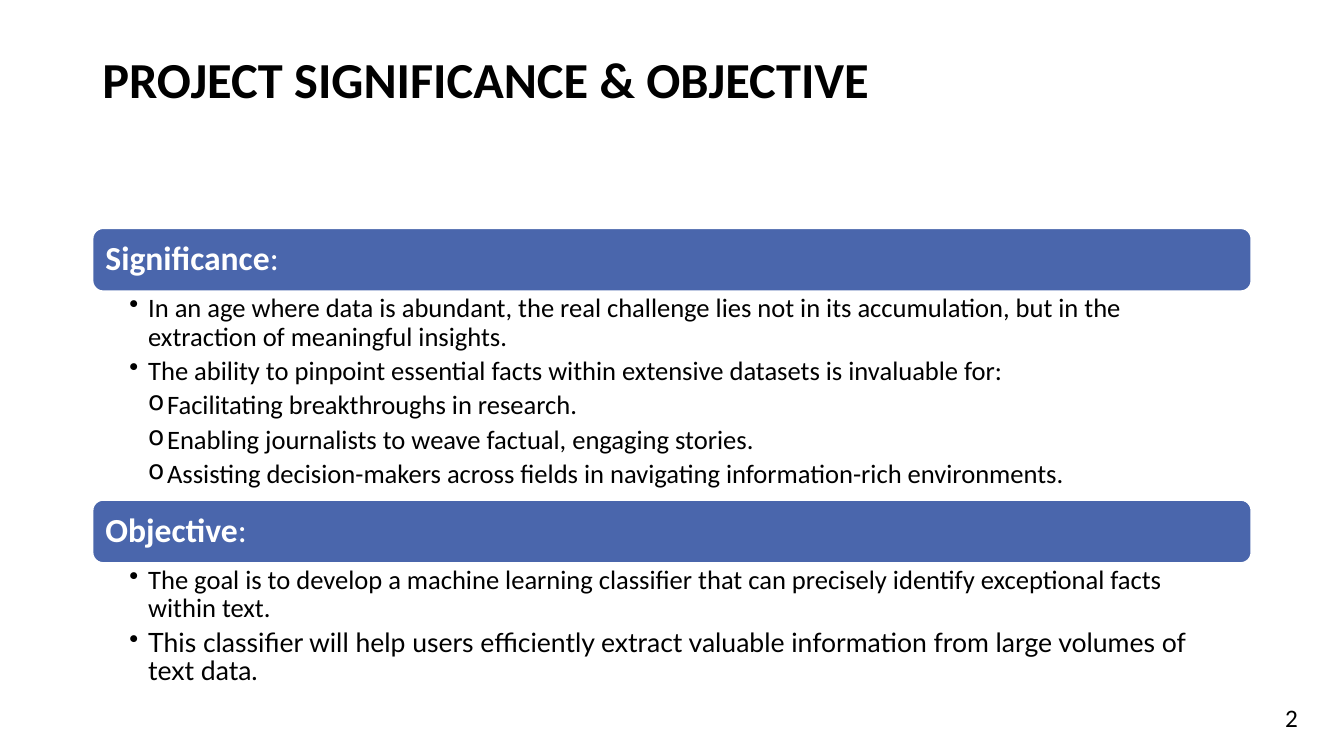
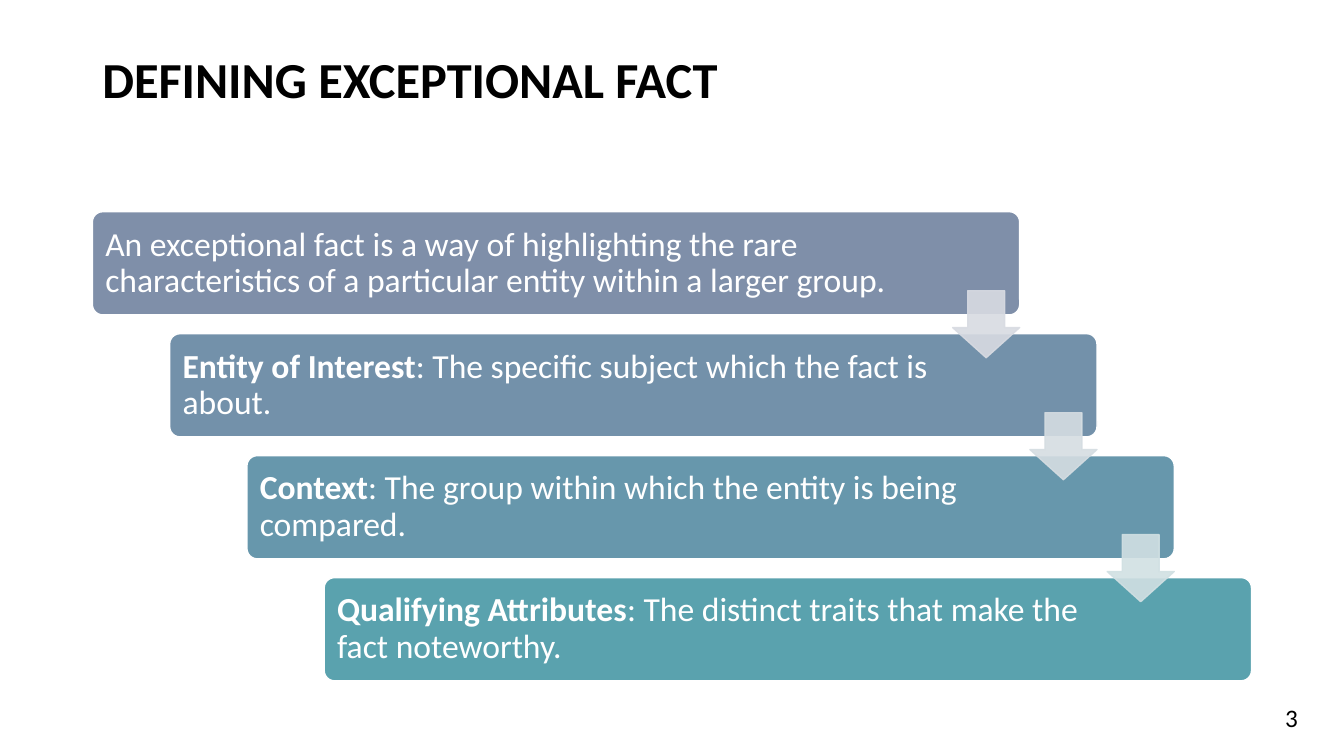
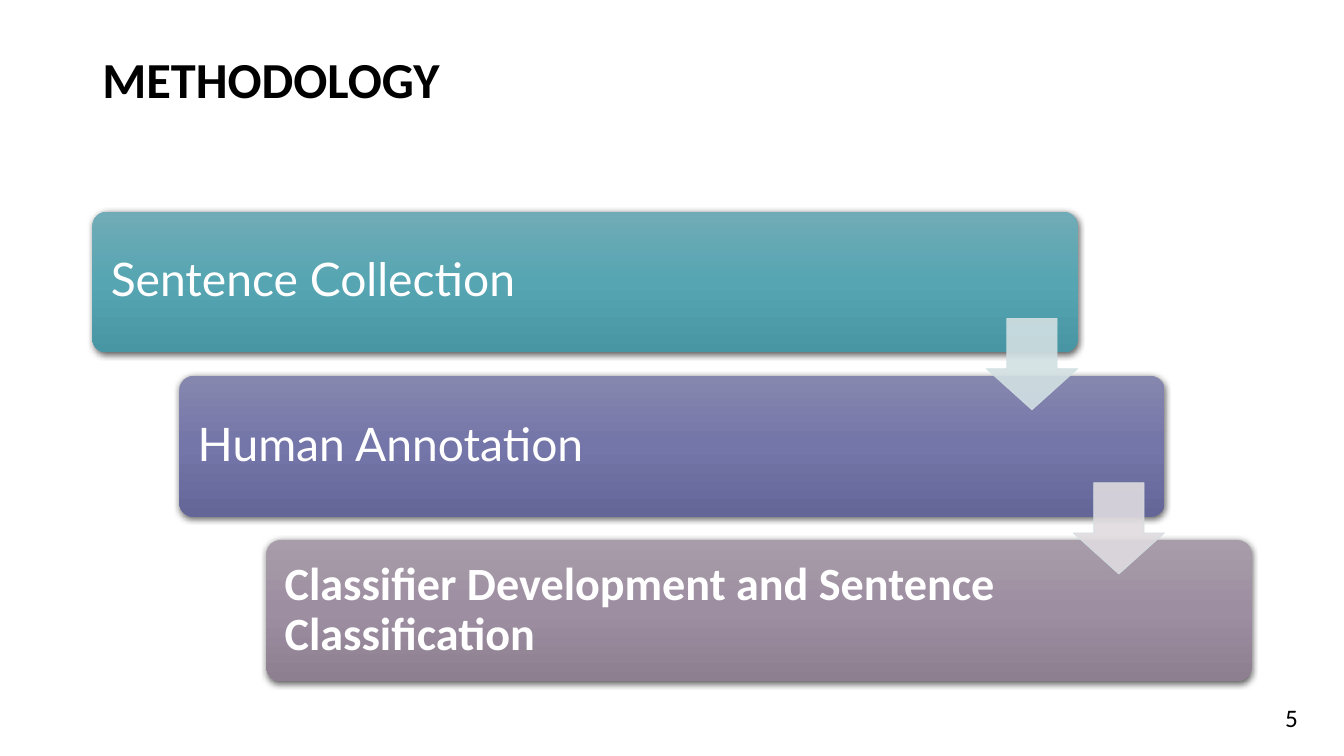
from lxml.etree import SubElement
from pptx import Presentation
from pptx.dml.color import RGBColor
from pptx.enum.shapes import MSO_SHAPE
from pptx.enum.text import MSO_ANCHOR, PP_ALIGN
from pptx.oxml.ns import qn
from pptx.util import Inches, Pt

# Grid: 160 columns by 90 rows of square cells
COLS, ROWS = 160, 90
CELL = Inches(7.5) // ROWS
LEFT, WIDTH = 11, 138

# Palette
BLACK = RGBColor(0x00, 0x00, 0x00)
WHITE = RGBColor(0xFF, 0xFF, 0xFF)
BLUE = RGBColor(0x4A, 0x66, 0xAC)
SLATE = RGBColor(0x7F, 0x8F, 0xA9)
STEEL = RGBColor(0x73, 0x91, 0xAA)
SEA = RGBColor(0x67, 0x97, 0xAC)
TEAL = RGBColor(0x5A, 0xA2, 0xAE)
PALE_SLATE = RGBColor(0xD8, 0xDB, 0xE2)
PALE_STEEL = RGBColor(0xD5, 0xDD, 0xE2)
PALE_SEA = RGBColor(0xD1, 0xE0, 0xE3)
PALE_TEAL = RGBColor(0xD2, 0xE0, 0xE3)
PALE_MAUVE = RGBColor(0xDF, 0xDB, 0xDF)
TEAL_FADE = (RGBColor(0x70, 0xAC, 0xB7), RGBColor(0x56, 0xA5, 0xB2), RGBColor(0x48, 0x96, 0xA3))
VIOLET_FADE = (RGBColor(0x86, 0x87, 0xAF), RGBColor(0x74, 0x75, 0xA8), RGBColor(0x64, 0x66, 0x98))
MAUVE_FADE = (RGBColor(0xA8, 0x9C, 0xAA), RGBColor(0x9D, 0x8F, 0xA1), RGBColor(0x8D, 0x7E, 0x90))

BODY, ALT = "Calibri", "Lato"


def cells(n):
    return round(n * CELL)


def child(parent, tag, **attrs):
    return SubElement(parent, qn(tag), {k: str(v) for k, v in attrs.items()})


class Deck:
    """Holds the style and the current slide."""

    def __init__(self):
        self.prs = Presentation()
        self.prs.slide_width = cells(COLS)
        self.prs.slide_height = cells(ROWS)
        self.s = None

    def slide(self, title, number):
        self.s = self.prs.slides.add_slide(self.prs.slide_layouts[6])
        tf = self.box(LEFT, 5.6, WIDTH, 8.4)
        tf.vertical_anchor = MSO_ANCHOR.MIDDLE
        self.add_runs(tf.paragraphs[0], [(title, True)], 36)
        p = self.box(LEFT + WIDTH, 83.4, 6.7, 4.8).paragraphs[0]
        p.alignment = PP_ALIGN.RIGHT
        self.add_runs(p, [(str(number), False)], 18)

    def box(self, x, y, w, h):
        sp = self.s.shapes.add_textbox(cells(x), cells(y), cells(w), cells(h))
        sp.text_frame.word_wrap = True
        return sp.text_frame

    def add_runs(self, p, runs, size, color=BLACK, font=BODY):
        p.line_spacing = 0.9
        for text, bold in runs:
            r = p.add_run()
            r.text = text
            r.font.name, r.font.size, r.font.bold = font, Pt(size), bold
            r.font.color.rgb = color

    def insets(self, tf, left, top, right, bottom):
        tf.margin_left, tf.margin_top = cells(left), cells(top)
        tf.margin_right, tf.margin_bottom = cells(right), cells(bottom)

    def shape(self, kind, x, y, w, h, adjust):
        sp = self.s.shapes.add_shape(kind, cells(x), cells(y), cells(w), cells(h))
        sp.shadow.inherit = False
        for i, value in enumerate(adjust):
            sp.adjustments[i] = value
        return sp

    def band(self, x, y, w, h, fill, runs, size=24, font=BODY,
             corner=0.1, inset=1.2, right=1.2, line=1):
        """Rounded bar with text; a tuple of colours makes a shaded, raised bar."""
        sp = self.shape(MSO_SHAPE.ROUNDED_RECTANGLE, x, y, w, h, [corner])
        # RGBColor is itself a tuple, so test for it first
        if isinstance(fill, RGBColor):
            sp.fill.solid()
            sp.fill.fore_color.rgb = fill
            sp.line.color.rgb = WHITE
            sp.line.width = Pt(line)
        else:
            self.shade(sp, fill)
            sp.line.fill.background()
            self.raise_up(sp)
        tf = sp.text_frame
        tf.word_wrap = True
        tf.vertical_anchor = MSO_ANCHOR.MIDDLE
        self.insets(tf, inset, inset, right, inset)
        tf.paragraphs[0].alignment = PP_ALIGN.LEFT
        self.add_runs(tf.paragraphs[0], runs, size, WHITE, font)

    def shade(self, sp, colors):
        sp.fill.gradient()
        sp.fill.gradient_angle = 270
        stops = sp.element.spPr.find(qn("a:gradFill")).find(qn("a:gsLst"))
        for stop in list(stops):
            stops.remove(stop)
        for i, color in enumerate(colors):
            stop = child(stops, "a:gs", pos=i * 100000 // (len(colors) - 1))
            child(stop, "a:srgbClr", val=color)

    def raise_up(self, sp):
        effects = sp.element.spPr.find(qn("a:effectLst"))
        shadow = child(effects, "a:outerShdw", blurRad=int(Pt(4.5)), dist=int(Pt(1.5)),
                       dir=5400000, algn="ctr", rotWithShape=0)
        child(child(shadow, "a:srgbClr", val=BLACK), "a:alpha", val=63000)

    def arrow(self, x, y, size, fill, edge, line):
        sp = self.shape(MSO_SHAPE.DOWN_ARROW, x, y, size, size, [0.55, 0.45])
        sp.fill.solid()
        sp.fill.fore_color.rgb = fill
        sp.line.color.rgb = edge
        sp.line.width = Pt(line)
        for color in list(sp.element.spPr.iter(qn("a:srgbClr"))):
            child(color, "a:alpha", val=90000)

    def bullets(self, y, h, items):
        tf = self.box(LEFT, y, WIDTH, h)
        self.insets(tf, 4.4, 0.36, 2.3, 0.36)
        step = cells(2.25)
        for i, (level, text, font) in enumerate(items):
            p = tf.paragraphs[0] if i == 0 else tf.add_paragraph()
            pPr = p._p.get_or_add_pPr()
            pPr.set("marL", str(step * level))
            pPr.set("indent", str(-step))
            child(pPr, "a:buChar", char="•" if level == 1 else "o")
            p.space_after = Pt(4)
            self.add_runs(p, [(text, False)], 19, font=font)

    def staircase(self, steps, arrows, w_share, h_share, rights, line, **style):
        """Bars stepping down to the right, joined by arrows in the gaps."""
        top, height = 25.2, 55.85
        w, h = WIDTH * w_share, height * h_share
        gaps = len(steps) - 1
        dx, dy = (WIDTH - w) / gaps, (height - h) / gaps
        for i, (fill, runs, font) in enumerate(steps):
            self.band(LEFT + i * dx, top + i * dy, w, h, fill, runs, font=font,
                      right=rights[min(i, 1)], line=line, **style)
        size = 0.65 * h
        for i, (fill, edge) in enumerate(arrows):
            gap_middle = top + i * dy + (h + dy) / 2
            self.arrow(LEFT + i * dx + w - size, gap_middle - size / 2,
                       size, fill, edge, line)


def main():
    deck = Deck()

    # Significance and objective
    deck.slide("PROJECT SIGNIFICANCE & OBJECTIVE", 2)
    sections = [
        ("Significance", 24.8, [
            (1, "In an age where data is abundant, the real challenge lies not in its "
                "accumulation, but in the extraction of meaningful insights.", BODY),
            (1, "The ability to pinpoint essential facts within extensive datasets is "
                "invaluable for:", BODY),
            (2, "Facilitating breakthroughs in research.", BODY),
            (2, "Enabling journalists to weave factual, engaging stories.", BODY),
            (2, "Assisting decision-makers across fields in navigating "
                "information-rich environments.", BODY)]),
        ("Objective", 12.1, [
            (1, "The goal is to develop a machine learning classifier that can precisely "
                "identify exceptional facts within text.", BODY),
            (1, "This classifier will help users efficiently extract valuable information "
                "from large volumes of text data.", ALT)]),
    ]
    y, band_h = 27.15, 7.55
    for heading, list_h, items in sections:
        deck.band(LEFT, y, WIDTH, band_h, BLUE, [(heading, True), (":", False)],
                  corner=0.17, line=1.5)
        deck.bullets(y + band_h, list_h, items)
        y += band_h + list_h

    # Definition
    deck.slide("DEFINING EXCEPTIONAL FACT", 3)
    deck.staircase(
        [(SLATE, [("An exceptional fact is a way of highlighting the rare characteristics "
                   "of a particular entity within a larger group.", False)], BODY),
         (STEEL, [("Entity of Interest", True),
                  (": The specific subject which the fact is about.", False)], BODY),
         (SEA, [("Context", True),
                (": The group within which the entity is being compared.", False)], BODY),
         (TEAL, [("Qualifying Attributes", True),
                 (": The distinct traits that make the fact noteworthy.", False)], BODY)],
        [(c, c) for c in (PALE_SLATE, PALE_STEEL, PALE_SEA)],
        0.8, 0.22, rights=(14.8, 18.5), line=1)

    # Methodology
    deck.slide("METHODOLOGY", 5)
    deck.staircase(
        [(TEAL_FADE, [("Sentence Collection", False)], ALT),
         (VIOLET_FADE, [("Human Annotation", False)], ALT),
         (MAUVE_FADE, [("Classifier Development and Sentence Classification", True)], BODY)],
        [(PALE_TEAL, PALE_TEAL), (PALE_MAUVE, PALE_TEAL)],
        0.85, 0.3, rights=(18.8, 23), line=0.5, size=33, inset=1.7)

    deck.prs.save("out.pptx")


if __name__ == "__main__":
    main()
